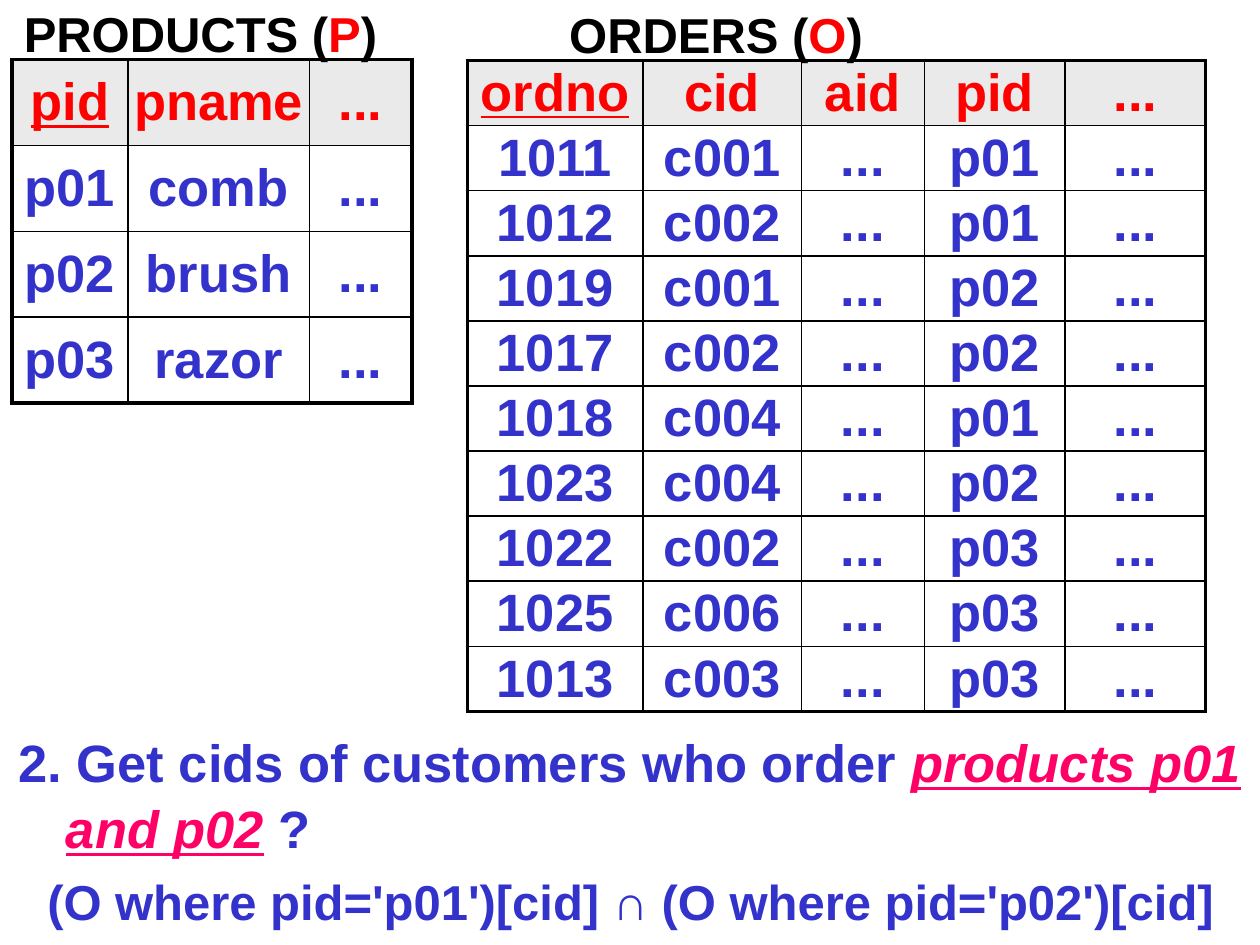
from pptx import Presentation
from pptx.dml.color import RGBColor
from pptx.enum.shapes import MSO_SHAPE as Preset
from pptx.enum.text import MSO_ANCHOR as Anchor, MSO_AUTO_SIZE as AutoSize, PP_ALIGN as Align
from pptx.oxml.ns import qn
from pptx.util import Pt
from lxml.etree import SubElement

BLACK, RED, BLUE, PINK = "000000", "FF0000", "3333CC", "FF0066"
WHITE, GREY = "FFFFFF", "EAEAEA"


def color(value):
    return RGBColor.from_string(value)


class SlideBuilder:
    font = "Arial"
    thick, thin = 2.25, 1

    def __init__(self, slide):
        self.slide = slide

    def run(self, paragraph, text, size, tint, underline=False, italic=False):
        run = paragraph.add_run()
        run.text = text
        font = run.font
        font.name, font.size, font.bold = self.font, Pt(size), True
        font.underline, font.italic = underline, italic
        font.color.rgb = color(tint)

    def title(self, left, top, width, name, letter):
        shape = self.slide.shapes.add_textbox(Pt(left), Pt(top), Pt(width), Pt(40.3))
        frame = shape.text_frame
        frame.word_wrap = True
        frame.auto_size = AutoSize.SHAPE_TO_FIT_TEXT
        for text, tint in ((f"{name} (", BLACK), (letter, RED), (")", BLACK)):
            self.run(frame.paragraphs[0], text, 28, tint)

    def question(self, left, top, width, height):
        shape = self.slide.shapes.add_shape(
            Preset.RECTANGLE, Pt(left), Pt(top), Pt(width), Pt(height))
        shape.shadow.inherit = False
        shape.fill.solid()
        shape.fill.fore_color.rgb = color(WHITE)
        shape.line.fill.background()
        frame = shape.text_frame
        frame.word_wrap = True
        frame.vertical_anchor = Anchor.TOP
        return frame

    def hanging(self, paragraph, align, indent=27):
        paragraph.alignment = align
        paragraph.line_spacing = 1.05
        properties = paragraph._p.get_or_add_pPr()
        properties.set("marL", str(Pt(indent)))
        properties.set("indent", str(-Pt(indent)))

    def border(self, cell, side, weight):
        line = SubElement(cell._tc.get_or_add_tcPr(), qn(f"a:ln{side}"), w=str(Pt(weight)))
        fill = SubElement(line, qn("a:solidFill"))
        SubElement(fill, qn("a:srgbClr"), val=BLACK)

    def cell(self, cell, text, header, key, edges):
        cell.margin_left = cell.margin_right = cell.margin_top = cell.margin_bottom = 0
        cell.vertical_anchor = Anchor.MIDDLE
        for side, outer in edges.items():
            self.border(cell, side, self.thick if outer else self.thin)
        if header:
            cell.fill.solid()
            cell.fill.fore_color.rgb = color(GREY)
        else:
            cell.fill.background()
        paragraph = cell.text_frame.paragraphs[0]
        paragraph.alignment = Align.CENTER
        self.run(paragraph, text, 30, RED if header else BLUE, underline=key)

    def table(self, left, top, widths, row_height, rows):
        last_row, last_column = len(rows) - 1, len(widths) - 1
        table = self.slide.shapes.add_table(
            len(rows), len(widths), Pt(left), Pt(top),
            Pt(sum(widths)), Pt(row_height * len(rows))).table
        table.first_row = table.horz_banding = False
        for column, width in zip(table.columns, widths):
            column.width = Pt(width)
        for r, values in enumerate(rows):
            table.rows[r].height = Pt(row_height)
            for c, text in enumerate(values):
                edges = {"L": c == 0, "R": c == last_column, "T": r == 0, "B": r == last_row}
                self.cell(table.cell(r, c), text, r == 0, r == c == 0, edges)


def main():
    presentation = Presentation()
    presentation.slide_width, presentation.slide_height = Pt(720), Pt(540)
    builder = SlideBuilder(presentation.slides.add_slide(presentation.slide_layouts[6]))

    # Question and its relational algebra answer
    frame = builder.question(3.6, 411.8, 713.5, 124.6)
    question = frame.paragraphs[0]
    builder.hanging(question, Align.LEFT)
    builder.run(question, "2. Get cids of customers who order ", 30, BLUE)
    builder.run(question, "products p01 and p02", 30, PINK, underline=True, italic=True)
    builder.run(question, " ?", 30, BLUE)
    answer = frame.add_paragraph()
    builder.hanging(answer, Align.CENTER)
    answer.space_before = Pt(5.6)
    builder.run(answer, "(O where pid='p01')[cid] ∩ (O where pid='p02')[cid]", 28, BLUE)

    # Products
    products = [("p01", "comb"), ("p02", "brush"), ("p03", "razor")]
    builder.table(6.8, 34, (66.3, 103.8, 58.5), 49.1,
                  [("pid", "pname", "...")] + [(*product, "...") for product in products])
    builder.title(6.5, -1.5, 245.5, "PRODUCTS", "P")

    # Orders
    orders = [
        ("1011", "c001", "p01"), ("1012", "c002", "p01"), ("1019", "c001", "p02"),
        ("1017", "c002", "p02"), ("1018", "c004", "p01"), ("1023", "c004", "p02"),
        ("1022", "c002", "p03"), ("1025", "c006", "p03"), ("1013", "c003", "p03"),
    ]
    builder.table(267, 34.6, (100.5, 90.4, 70.3, 80.4, 80.4), 37.2,
                  [("ordno", "cid", "aid", "pid", "...")]
                  + [(number, customer, "...", product, "...")
                     for number, customer, product in orders])
    builder.title(318.2, -0.7, 257.8, "ORDERS", "O")

    presentation.save("out.pptx")


if __name__ == "__main__":
    main()
